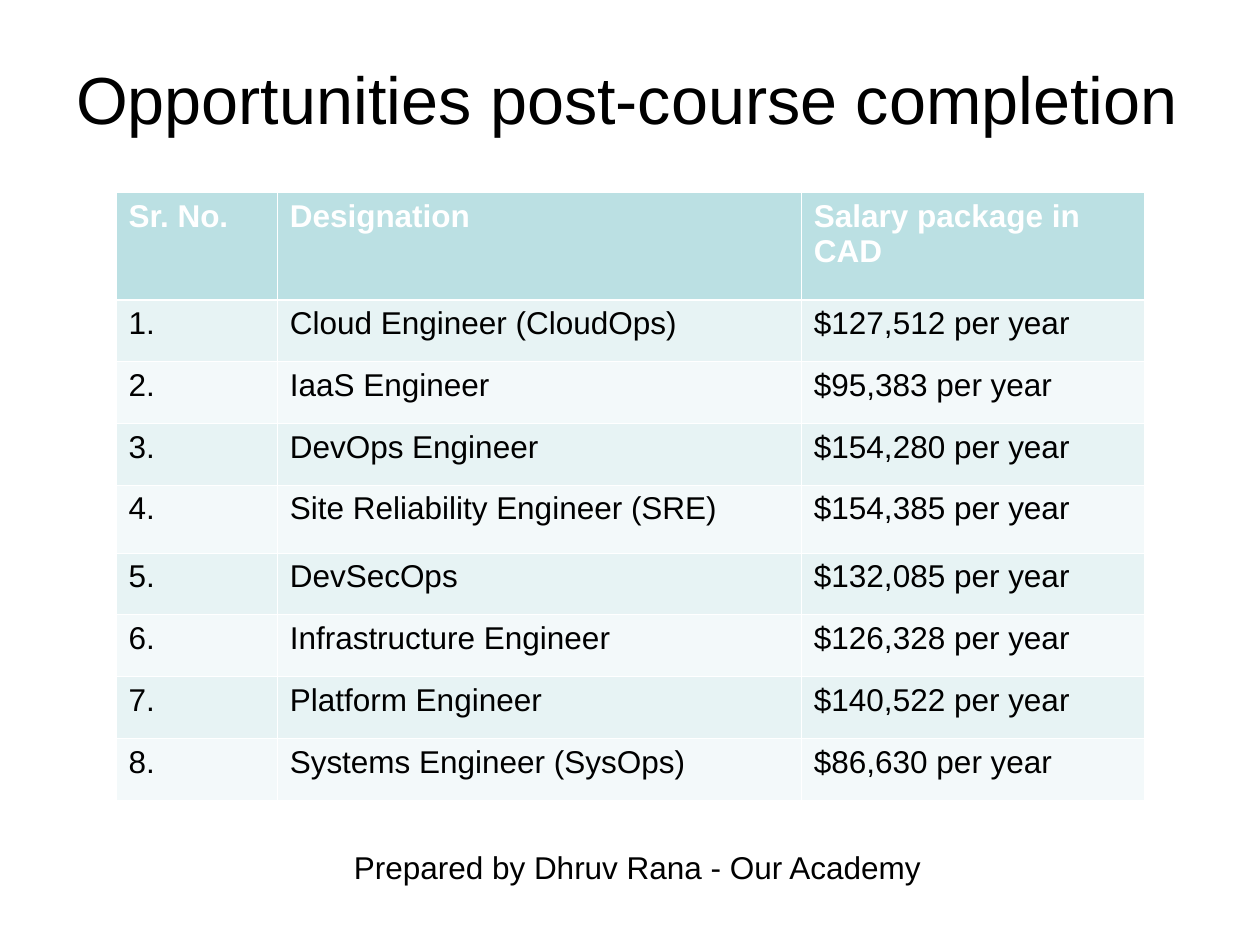
from lxml.etree import SubElement
from pptx import Presentation
from pptx.dml.color import RGBColor
from pptx.enum.text import MSO_ANCHOR, MSO_AUTO_SIZE, PP_ALIGN
from pptx.oxml.ns import qn
from pptx.util import Inches, Pt

HUES = {"ink": "000000", "white": "FFFFFF", "head": "BBE0E3",
        "odd": "E7F3F4", "even": "F3F9FA"}
BODY = {"name": "Arial", "size": Pt(18), "bold": False}
HEAD = {**BODY, "bold": True}
TITLE = {**BODY, "size": Pt(38)}
COLS = [1.28, 4.16, 2.72]
TALL = {0: 0.85, 4: 0.54}
LABELS = ["Sr. No.", "Designation", "Salary package in CAD"]
JOBS = [
    ("Cloud Engineer (CloudOps)", "$127,512"),
    ("IaaS Engineer", "$95,383"),
    ("DevOps Engineer", "$154,280"),
    ("Site Reliability Engineer (SRE)", "$154,385"),
    ("DevSecOps", "$132,085"),
    ("Infrastructure Engineer", "$126,328"),
    ("Platform Engineer", "$140,522"),
    ("Systems Engineer (SysOps)", "$86,630"),
]


def write(frame, text, form, hue="ink"):
    """Put one styled line of text in a frame and return its paragraph."""
    para = frame.paragraphs[0]
    run = para.add_run()
    run.text = text
    for key, value in form.items():
        setattr(run.font, key, value)
    run.font.color.rgb = RGBColor.from_string(HUES[hue])
    return para


def add_text(slide, area, text, form, traits, align):
    """Add a wrapped text box with the given frame traits."""
    frame = slide.shapes.add_textbox(*map(Inches, area)).text_frame
    frame.word_wrap = True
    for key, value in traits.items():
        setattr(frame, key, value)
    write(frame, text, form).alignment = align


def add_edges(cell, top, base):
    """Draw white rules on the four sides of a cell."""
    props = cell._tc.get_or_add_tcPr()
    for side, width in {"L": 0.45, "R": 0.45, "T": top, "B": base}.items():
        line = SubElement(props, qn(f"a:ln{side}"), w=str(int(Pt(width))))
        fill = SubElement(line, qn("a:solidFill"))
        SubElement(fill, qn("a:srgbClr"), val=HUES["white"])


def fill_cell(cell, text, row):
    """Style a cell by its row and write its text."""
    add_edges(cell, 1.47 if row == 1 else 0.45, 1.47 if row == 0 else 0.45)
    band = "head" if row == 0 else "odd" if row % 2 else "even"
    cell.fill.solid()
    cell.fill.fore_color.rgb = RGBColor.from_string(HUES[band])
    form, hue = (BODY, "ink") if row else (HEAD, "white")
    write(cell.text_frame, text, form, hue)


def add_jobs(slide):
    """Add the table of jobs and pay."""
    rows = [LABELS] + [[f"{num}.", job, f"{pay} per year"]
                       for num, (job, pay) in enumerate(JOBS, 1)]
    area = map(Inches, (0.92, 1.53, sum(COLS), 4.82))
    table = slide.shapes.add_table(len(rows), len(COLS), *area).table
    for col, width in zip(table.columns, COLS):
        col.width = Inches(width)
    for row, texts in enumerate(rows):
        table.rows[row].height = Inches(TALL.get(row, 0.49))
        for col, text in enumerate(texts):
            fill_cell(table.cell(row, col), text, row)


def main():
    """Build the slide and save it."""
    deck = Presentation()
    deck.slide_width, deck.slide_height = Inches(10), Inches(7.5)
    slide = deck.slides.add_slide(deck.slide_layouts[6])
    add_text(slide, (0.47, 0.15, 9.02, 1.26),
             "Opportunities post-course completion", TITLE,
             {"vertical_anchor": MSO_ANCHOR.MIDDLE, "margin_left": 0,
              "margin_right": 0, "margin_top": 0, "margin_bottom": 0},
             PP_ALIGN.CENTER)
    add_text(slide, (2.71, 6.68, 5.37, 0.4),
             "Prepared by Dhruv Rana - Our Academy", BODY,
             {"auto_size": MSO_AUTO_SIZE.SHAPE_TO_FIT_TEXT}, PP_ALIGN.LEFT)
    add_jobs(slide)
    deck.save("out.pptx")


if __name__ == "__main__":
    main()
